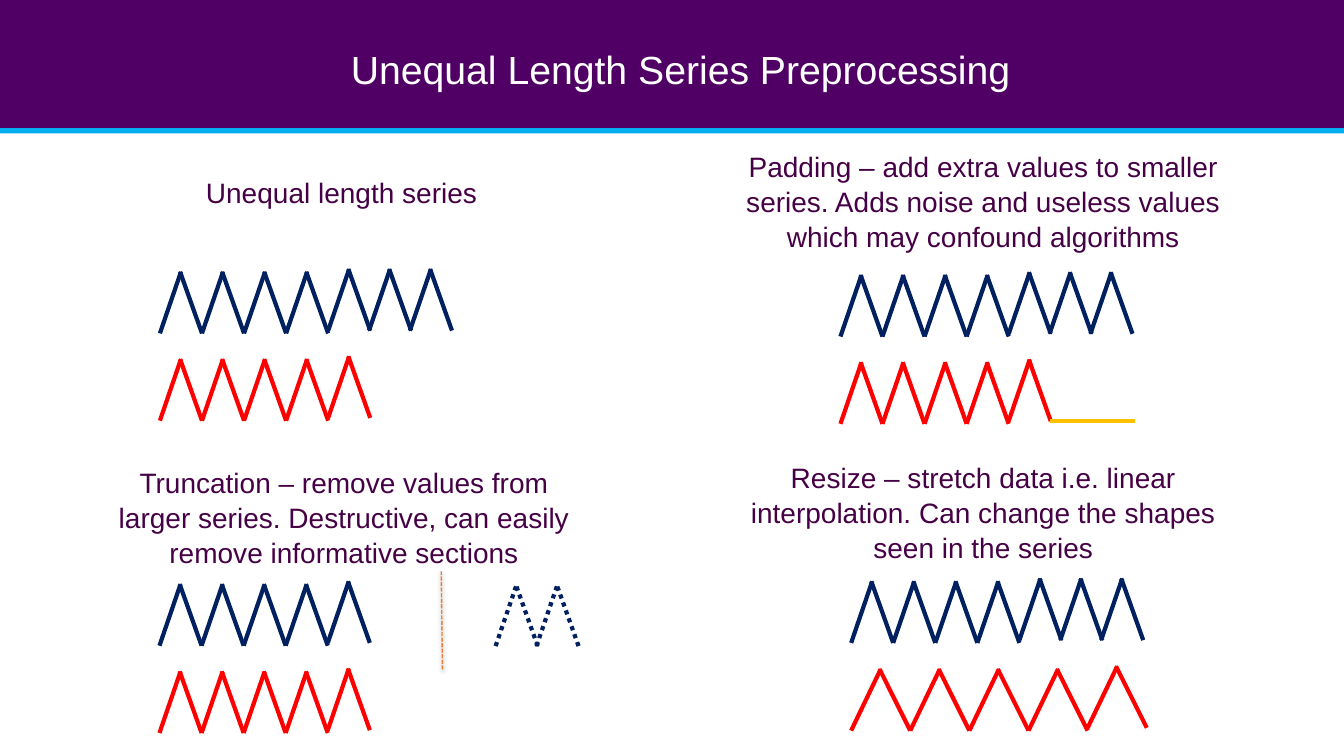
from dataclasses import dataclass
from typing import Optional

from lxml.etree import SubElement
from pptx import Presentation
from pptx.dml.color import RGBColor
from pptx.enum.dml import MSO_LINE
from pptx.enum.shapes import MSO_CONNECTOR, MSO_SHAPE
from pptx.enum.text import MSO_ANCHOR, PP_ALIGN
from pptx.oxml.ns import qn
from pptx.shapes.connector import Connector
from pptx.slide import Slide
from pptx.text.text import TextFrame
from pptx.util import Cm, Pt

PURPLE = RGBColor(0x50, 0x00, 0x64)
CYAN = RGBColor(0x00, 0xAE, 0xEF)
WHITE = RGBColor(0xFF, 0xFF, 0xFF)
PLUM = RGBColor(0x46, 0x00, 0x46)
NAVY = RGBColor(0x00, 0x20, 0x60)
RED = RGBColor(0xFF, 0x00, 0x00)
GOLD = RGBColor(0xFF, 0xC0, 0x00)
ORANGE = RGBColor(0xED, 0x7D, 0x31)

FONT = "Arial"
SLIDE_WIDTH = 33.87
INSET = 0.25
PITCH = 1.06  # width of one peak
TAIL_PITCH = 1.03  # spacing of the peaks after the lifted one
LIFTED = 4  # index of the first peak that sits slightly higher
LIFT = 0.07
HEIGHT = 1.55


@dataclass
class Caption:
    left: float
    top: float
    width: float
    text: str


@dataclass
class Series:
    left: float
    base: float
    peaks: int
    color: RGBColor
    pitch: float = PITCH
    first: int = 0
    dash: Optional[MSO_LINE] = None


CAPTIONS = [
    Caption(1.96, 4.14, 13.0, "Unequal length series"),
    Caption(18.19, 3.48, 12.88, "Padding – add extra values to smaller series. "
            "Adds noise and useless values which may confound algorithms"),
    Caption(2.08, 11.46, 12.88, "Truncation – remove values from larger series. "
            "Destructive, can easily remove informative sections"),
    Caption(18.19, 11.33, 12.88, "Resize – stretch data i.e. linear interpolation. "
            "Can change the shapes seen in the series"),
]

SERIES = [
    # Unequal length
    Series(4.03, 8.4, 7, NAVY),
    Series(4.03, 10.6, 5, RED),
    # Padding
    Series(21.18, 8.48, 7, NAVY),
    Series(21.18, 10.68, 5, RED),
    # Truncation, with the part cut off
    Series(4.02, 16.27, 5, NAVY),
    Series(4.02, 18.47, 5, RED),
    Series(12.49, 16.35, 2, NAVY, first=LIFTED, dash=MSO_LINE.ROUND_DOT),
    # Resize
    Series(21.45, 16.2, 7, NAVY),
    Series(21.45, 18.41, 5, RED, pitch=1.49),
]


def write(tf: TextFrame, text: str, size: int, color: RGBColor, align: PP_ALIGN) -> None:
    tf.text = text
    tf.word_wrap = True
    tf.margin_left = tf.margin_right = tf.margin_top = tf.margin_bottom = Cm(INSET)
    p = tf.paragraphs[0]
    p.alignment = align
    font = p.runs[0].font
    font.name, font.size, font.color.rgb = FONT, Pt(size), color


def add_bar(s: Slide, top: float, height: float, color: RGBColor) -> None:
    sp = s.shapes.add_shape(MSO_SHAPE.RECTANGLE, 0, Cm(top), Cm(SLIDE_WIDTH), Cm(height))
    sp.shadow.inherit = False
    sp.fill.solid()
    sp.fill.fore_color.rgb = color
    sp.line.fill.background()


def add_title(s: Slide, text: str) -> None:
    title = s.shapes.title
    title.left, title.top, title.width, title.height = Cm(8.59), Cm(0.79), Cm(18.42), Cm(1.88)
    title.text_frame.vertical_anchor = MSO_ANCHOR.MIDDLE
    write(title.text_frame, text, 28, WHITE, PP_ALIGN.LEFT)
    s.shapes._spTree.append(title._element)  # bring in front of the header bars


def add_caption(s: Slide, caption: Caption) -> None:
    sp = s.shapes.add_textbox(Cm(caption.left), Cm(caption.top), Cm(caption.width), Cm(6.05))
    write(sp.text_frame, caption.text, 20, PLUM, PP_ALIGN.CENTER)
    p = sp.text_frame.paragraphs[0]
    p.line_spacing = 1.04
    p._p.get_or_add_pPr().set("marL", str(Cm(0.3)))


def add_line(s: Slide, x1: float, y1: float, x2: float, y2: float, color: RGBColor,
             width: float = 3, dash: Optional[MSO_LINE] = None) -> Connector:
    line = s.shapes.add_connector(MSO_CONNECTOR.STRAIGHT, Cm(x1), Cm(y1), Cm(x2), Cm(y2))
    line.line.color.rgb = color
    line.line.width = Pt(width)
    if dash is not None:
        line.line.dash_style = dash
    SubElement(line._element.spPr, qn("a:effectLst"))
    return line


def peak_offset(index: int, pitch: float) -> float:
    return pitch * min(index, LIFTED) + TAIL_PITCH * max(index - LIFTED, 0)


def add_series(s: Slide, series: Series) -> None:
    origin = series.left - peak_offset(series.first, series.pitch)
    for i in range(series.first, series.first + series.peaks):
        start = origin + peak_offset(i, series.pitch)
        end = start + series.pitch
        base = series.base - (LIFT if i >= LIFTED else 0)
        top = base - HEIGHT
        add_line(s, start, base, start + 0.5 * series.pitch, top, series.color, dash=series.dash)
        add_line(s, end, base, end - 0.52 * series.pitch, top, series.color, dash=series.dash)


def add_cut_line(s: Slide) -> None:
    line = add_line(s, 11.15, 16.87, 11.12, 14.4, ORANGE, 1, MSO_LINE.SQUARE_DOT)
    effects = line._element.spPr.find(qn("a:effectLst"))
    shadow = SubElement(effects, qn("a:outerShdw"), blurRad=str(Pt(3)), dist=str(Pt(1.6)),
                        dir="5400000", rotWithShape="0")
    black = SubElement(shadow, qn("a:srgbClr"), val="000000")
    SubElement(black, qn("a:alpha"), val="38000")


def main() -> None:
    prs = Presentation()
    prs.slide_width, prs.slide_height = Cm(SLIDE_WIDTH), Cm(19.05)
    s = prs.slides.add_slide(prs.slide_layouts[5])

    # Header
    add_bar(s, 0, 3.3, PURPLE)
    add_bar(s, 3.23, 0.13, CYAN)
    add_title(s, "Unequal Length Series Preprocessing")

    # Series, padding and cut
    for series in SERIES:
        add_series(s, series)
    add_line(s, 28.6, 10.61, 26.47, 10.61, GOLD)
    add_cut_line(s)

    # Captions
    for caption in CAPTIONS:
        add_caption(s, caption)

    prs.save("out.pptx")


if __name__ == "__main__":
    main()
